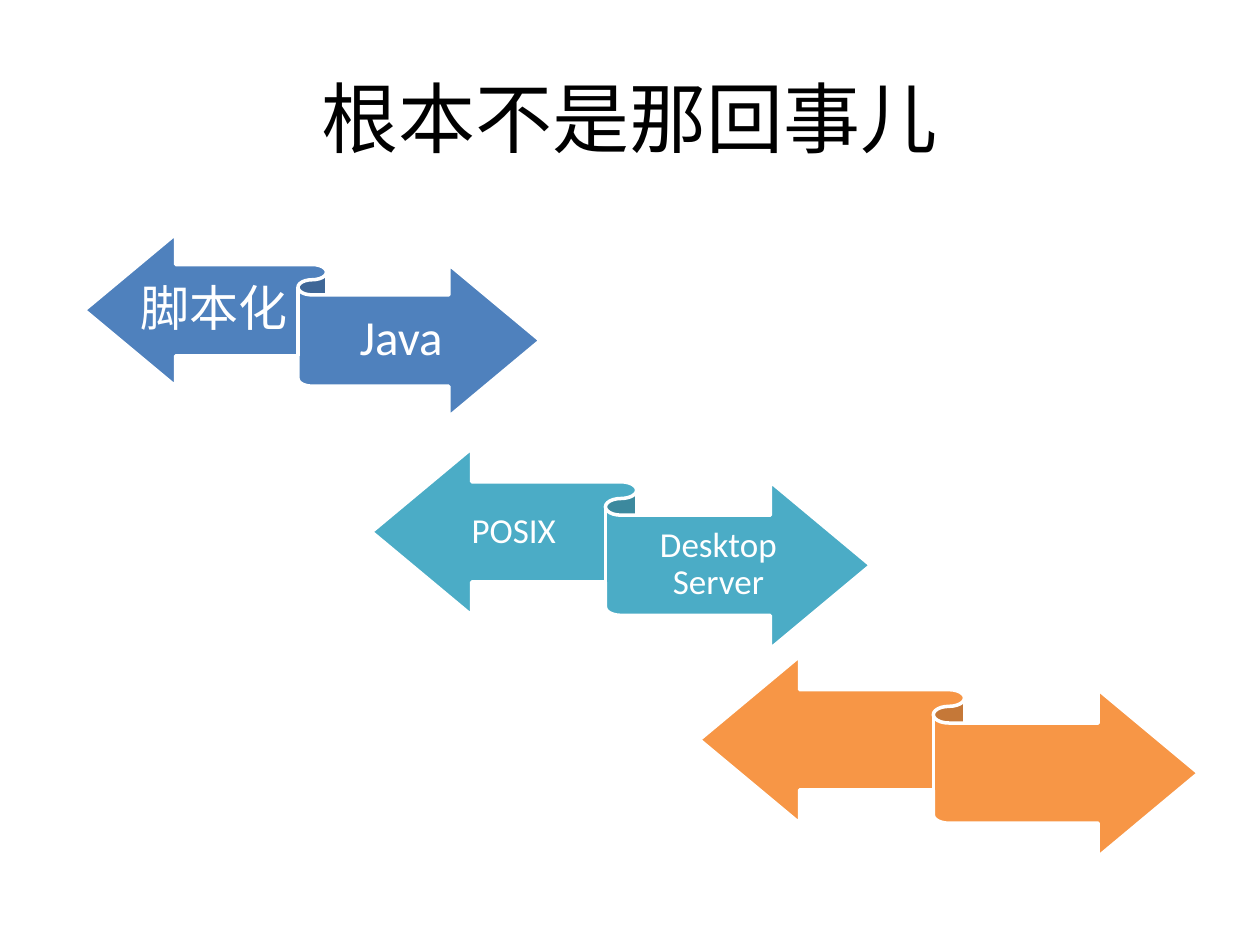
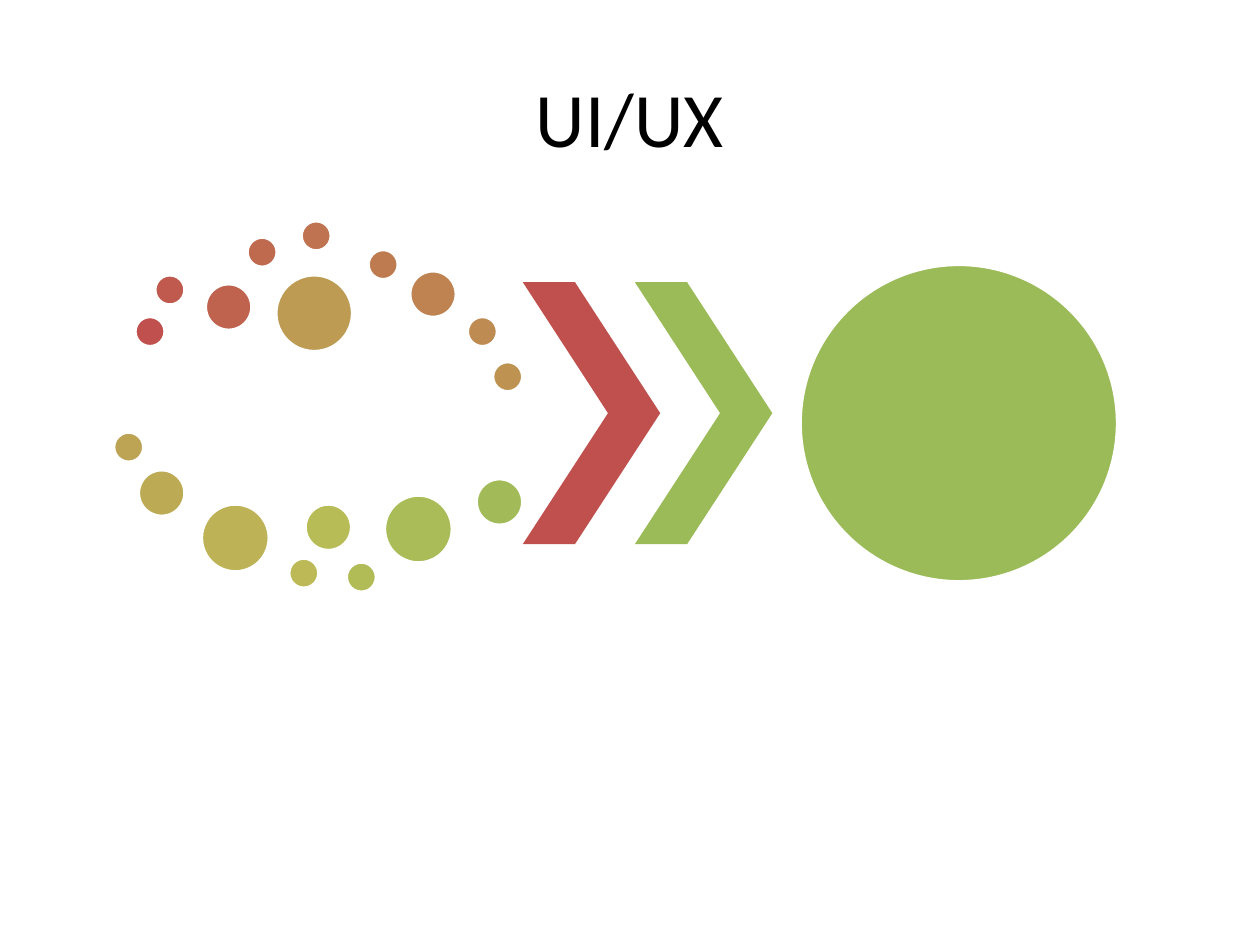
from pptx import Presentation
from pptx.dml.color import RGBColor
from pptx.enum.shapes import MSO_SHAPE
from pptx.enum.text import MSO_ANCHOR, PP_ALIGN
from pptx.util import Cm, Pt

RIBBON = MSO_SHAPE.LEFT_RIGHT_RIBBON
OVAL = MSO_SHAPE.OVAL
CHEVRON = MSO_SHAPE.CHEVRON
MIDDLE = MSO_ANCHOR.MIDDLE
CENTER = PP_ALIGN.CENTER

FONT = "Calibri"
BLACK, WHITE = "000000", "FFFFFF"
BLUE, TEAL, ORANGE = "4F81BD", "4BACC6", "F79646"
RED, GREEN = "C0504D", "9BBB59"


def set_text(sp, text, size, color, **frame_format):
    tf = sp.text_frame
    tf.word_wrap = True
    tf.vertical_anchor = MIDDLE
    for name, value in frame_format.items():
        setattr(tf, name, value)
    p = tf.paragraphs[0]
    p.alignment = CENTER
    r = p.add_run()
    r.text = text
    for name, value in {"name": FONT, "size": Pt(size)}.items():
        setattr(r.font, name, value)
    r.font.color.rgb = RGBColor.from_string(color)
    return p


def add_filled(s, kind, box, color, outlined=True):
    sp = s.shapes.add_shape(kind, *map(Cm, box))
    sp.shadow.inherit = False
    sp.fill.solid()
    sp.fill.fore_color.rgb = RGBColor.from_string(color)
    if outlined:
        sp.line.color.rgb = RGBColor.from_string(WHITE)
        sp.line.width = Pt(2)
    else:
        sp.line.fill.background()
    return sp


prs = Presentation()
prs.slide_width, prs.slide_height = Cm(25.4), Cm(19.05)

slides = []
for heading in ("根本不是那回事儿", "UI/UX"):
    s = prs.slides.add_slide(prs.slide_layouts[5])
    title = s.shapes.title
    title.left, title.top, title.width, title.height = map(Cm, (1.27, 0.76, 22.86, 3.18))
    set_text(title, heading, 44, BLACK)
    slides.append(s)
ribbon_slide, funnel_slide = slides

# Ribbons: box, colour, labels of the two halves, text size, vertical inset
ribbons = [
    ((1.7, 4.72, 9.19, 3.68), BLUE, ("脚本化", "Java"), 28, 0.29),
    ((7.49, 9.04, 10.06, 4.04), TEAL, ("POSIX", "Desktop Server"), 20, 0.2),
    ((14.1, 13.23, 10.06, 4.04), ORANGE, (), 20, 0.2),
]
# Left, top and width of each half's label as shares of the ribbon
halves = [(0.12, 0.175, 0.33), (0.5, 0.335, 0.39)]
LABEL_HEIGHT = 0.49

for box, color, labels, size, inset in ribbons:
    add_filled(ribbon_slide, RIBBON, box, color)
    left, top, width, height = box
    for label, (dx, dy, share) in zip(labels, halves):
        tb = ribbon_slide.shapes.add_textbox(
            Cm(left + dx * width), Cm(top + dy * height),
            Cm(share * width), Cm(LABEL_HEIGHT * height))
        p = set_text(tb, label, size, WHITE, margin_left=0, margin_right=0,
                     margin_top=Cm(inset), margin_bottom=Cm(inset))
        p.line_spacing = 0.9

# Scattered dots: left, top, diameter, colour
SMALL, MEDIUM, LARGE, HUGE = 0.61, 0.94, 1.37, 1.55
dots = [
    (2.72, 6.38, SMALL, RED),
    (3.12, 5.54, SMALL, "C0594E"),
    (4.14, 5.72, MEDIUM, "BF624E"),
    (4.98, 4.78, SMALL, "BF6A4F"),
    (6.07, 4.45, SMALL, "BF7350"),
    (7.42, 5.03, SMALL, "BF7B50"),
    (8.26, 5.46, MEDIUM, "BE8351"),
    (9.42, 6.38, SMALL, "BE8B52"),
    (9.93, 7.29, SMALL, "BE9352"),
    (5.56, 5.54, HUGE, "BD9B53"),
    (2.29, 8.71, SMALL, "BDA354"),
    (2.79, 9.47, MEDIUM, "BDAA54"),
    (4.06, 10.16, LARGE, "BDB255"),
    (5.82, 11.25, SMALL, "BCB956"),
    (6.15, 10.16, MEDIUM, "B8BC56"),
    (6.98, 11.33, SMALL, "B1BC57"),
    (7.75, 9.98, LARGE, "A9BC58"),
    (9.6, 9.65, MEDIUM, "A2BB58"),
]
for left, top, diameter, color in dots:
    add_filled(funnel_slide, OVAL, (left, top, diameter, diameter), color)

for left, color in ((10.54, RED), (12.8, GREEN)):
    chevron = add_filled(funnel_slide, CHEVRON, (left, 5.69, 2.77, 5.28), color, outlined=False)
    chevron.adjustments[0] = 0.62

add_filled(funnel_slide, OVAL, (16.13, 5.33, 6.4, 6.4), GREEN)

prs.save("out.pptx")
